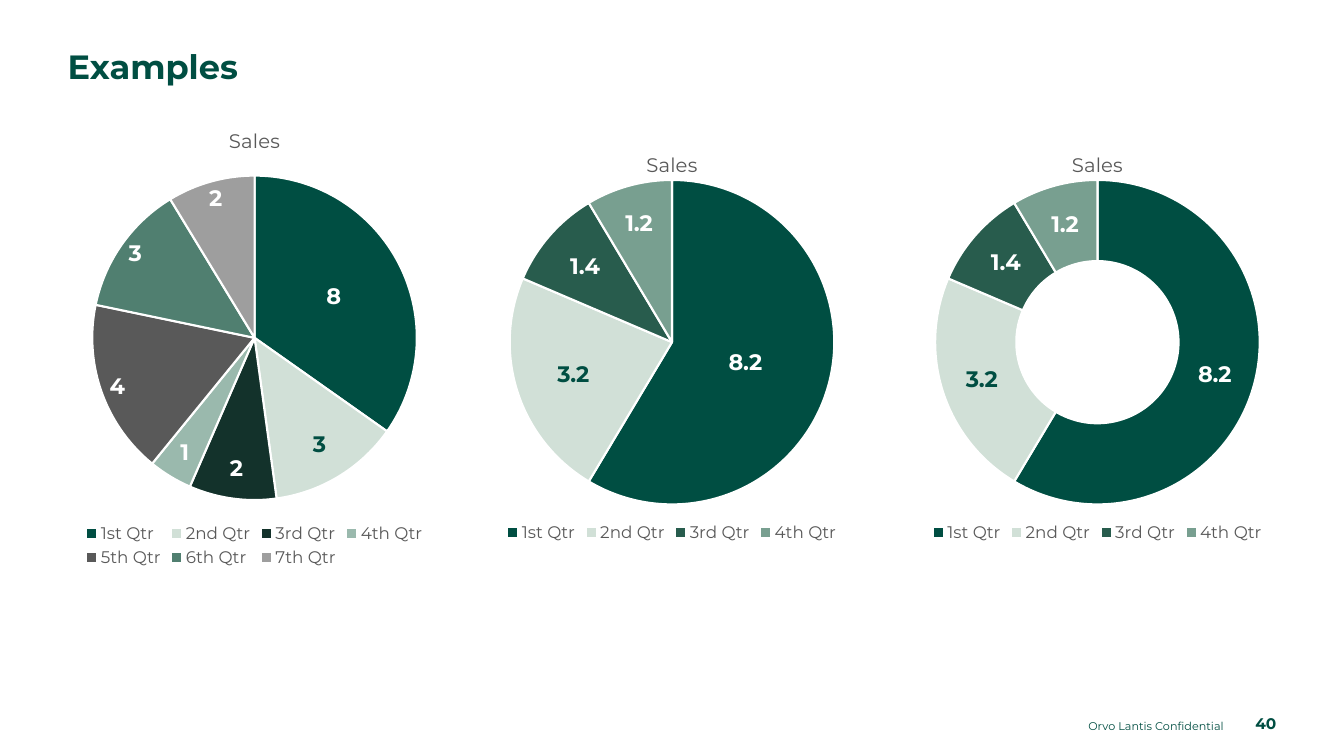
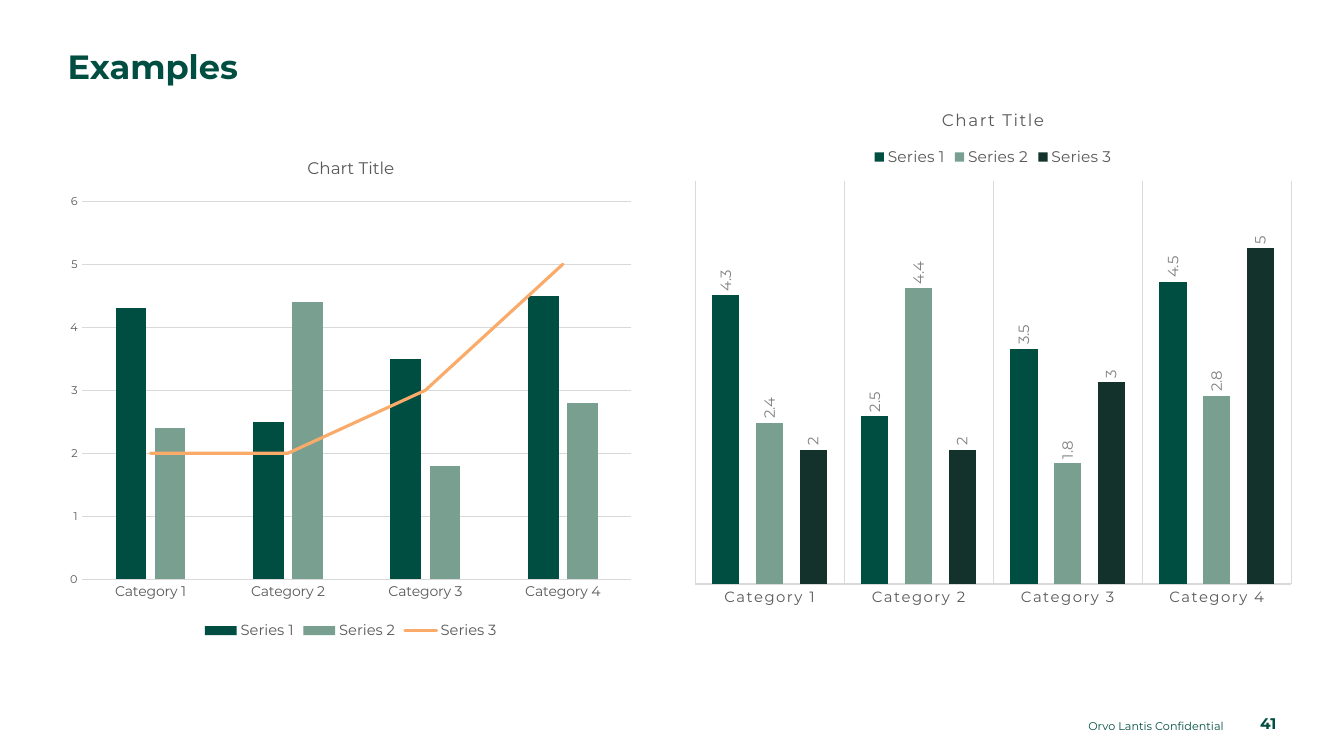
from math import cos, pi, sin

from lxml import etree
from pptx import Presentation
from pptx.chart.data import CategoryChartData
from pptx.dml.color import RGBColor
from pptx.enum.chart import XL_CHART_TYPE, XL_LABEL_POSITION, XL_LEGEND_POSITION, XL_TICK_MARK
from pptx.enum.text import MSO_ANCHOR, PP_ALIGN
from pptx.oxml import parse_xml
from pptx.oxml.ns import nsdecls, qn
from pptx.util import Inches, Pt

PIE, DOUGHNUT, COLUMN = XL_CHART_TYPE.PIE, XL_CHART_TYPE.DOUGHNUT, XL_CHART_TYPE.COLUMN_CLUSTERED
TOP, BOTTOM = XL_LEGEND_POSITION.TOP, XL_LEGEND_POSITION.BOTTOM
OUTSIDE_END, CENTER = XL_LABEL_POSITION.OUTSIDE_END, XL_LABEL_POSITION.CENTER
NO_TICK = XL_TICK_MARK.NONE
LEFT, RIGHT = PP_ALIGN.LEFT, PP_ALIGN.RIGHT
ANCHOR_TOP, ANCHOR_BOTTOM = MSO_ANCHOR.TOP, MSO_ANCHOR.BOTTOM

FONT = "Montserrat"
GREEN, PALE, DEEP, SAGE = "004E42", "D1E0D7", "13322B", "789F90"
FOREST, MINT, FERN = "285C4D", "9AB9AD", "507F70"
TEXT_GRAY, LABEL_GRAY, MID_GRAY, LINE_GRAY = "595959", "808080", "9E9E9E", "D9D9D9"
ORANGE, WHITE = "FBAB69", "FFFFFF"

WIDTH, HEIGHT = 13.33, 7.5
TITLE = "Examples"
FOOTER = "Orvo Lantis Confidential"
FIRST_PAGE = 40

# label_radius: distance of each label from the centre, as a share of the radius
FOUR_QUARTERS = [("1st Qtr", 8.2, GREEN), ("2nd Qtr", 3.2, PALE),
                 ("3rd Qtr", 1.4, FOREST), ("4th Qtr", 1.2, SAGE)]
SEVEN_QUARTERS = [("1st Qtr", 8, GREEN), ("2nd Qtr", 3, PALE), ("3rd Qtr", 2, DEEP),
                  ("4th Qtr", 1, MINT), ("5th Qtr", 4, TEXT_GRAY),
                  ("6th Qtr", 3, FERN), ("7th Qtr", 2, MID_GRAY)]
ROUND_CHARTS = [
    dict(kind=PIE, box=(4.49, 1.33, 4.35, 4.09), plot=(0.13, 0.11, 0.74, 0.79),
         slices=FOUR_QUARTERS, label_radius=[0.47, 0.64, 0.71, 0.76]),
    dict(kind=DOUGHNUT, box=(8.71, 1.33, 4.35, 4.09), plot=(0.13, 0.11, 0.74, 0.79),
         slices=FOUR_QUARTERS),
    dict(kind=PIE, box=(0.35, 1.08, 4.35, 4.59), plot=(0.13, 0.1, 0.74, 0.79),
         slices=SEVEN_QUARTERS, label_radius=[0.55, 0.77, 0.81, 0.83, 0.9, 0.9, 0.89]),
]

CATEGORIES = ["Category 1", "Category 2", "Category 3", "Category 4"]
SERIES = {"Series 1": (4.3, 2.5, 3.5, 4.5),
          "Series 2": (2.4, 4.4, 1.8, 2.8),
          "Series 3": (2, 2, 3, 5)}


def color(value):
    return RGBColor.from_string(value)


def set_font(font, size, fill, bold=False, spacing=None):
    font.name, font.size, font.bold = FONT, Pt(size), bold
    font.color.rgb = color(fill)
    if spacing:
        font._element.set("spc", str(spacing))


def set_line(line, fill, width):
    line.color.rgb = color(fill)
    line.width = Pt(width)


def add_text(slide, text, box, size, bold=False, align=LEFT, anchor=ANCHOR_TOP, spacing=1.0):
    shape = slide.shapes.add_textbox(*map(Inches, box))
    frame = shape.text_frame
    frame.word_wrap = True
    frame.vertical_anchor = anchor
    frame.margin_left = frame.margin_right = frame.margin_top = frame.margin_bottom = 0
    paragraph = frame.paragraphs[0]
    paragraph.alignment, paragraph.line_spacing = align, spacing
    run = paragraph.add_run()
    run.text = text
    set_font(run.font, size, GREEN, bold)


def add_slide(presentation, page):
    slide = presentation.slides.add_slide(presentation.slide_layouts[6])
    add_text(slide, TITLE, (0.67, 0.5, 12, 0.75), 24, bold=True, spacing=0.9)
    for text, box, size, bold in ((FOOTER, (6.68, 7.1, 5.46, 0.17), 8, False),
                                  (str(page), (12.15, 7.1, 0.51, 0.17), 11, True)):
        add_text(slide, text, box, size, bold, RIGHT, ANCHOR_BOTTOM)
    return slide


def manual_layout(**settings):
    body = "".join(f'<c:{name} val="{value}"/>' for name, value in settings.items())
    return parse_xml(f'<c:layout {nsdecls("c")}><c:manualLayout>{body}</c:manualLayout></c:layout>')


def add_chart(slide, kind, box, plot, categories, series, title, title_size,
              legend, legend_size, spacing=None):
    data = CategoryChartData()
    data.categories = categories
    for name, values in series.items():
        data.add_series(name, values)
    chart = slide.shapes.add_chart(kind, *map(Inches, box), data).chart
    set_font(chart.font, 10, "000000")
    chart.has_title = True
    frame = chart.chart_title.text_frame
    frame.text = title
    set_font(frame.paragraphs[0].runs[0].font, title_size, TEXT_GRAY, spacing=spacing)
    chart.chart_title.include_in_layout = False
    chart.has_legend = True
    chart.legend.position = legend
    chart.legend.include_in_layout = False
    set_font(chart.legend.font, legend_size, TEXT_GRAY)
    area = chart._chartSpace.chart.plotArea
    for layout in area.findall(qn("c:layout")):
        area.remove(layout)
    x, y, width, height = plot
    area.insert(0, manual_layout(layoutTarget="inner", xMode="edge", yMode="edge",
                                 x=x, y=y, w=width, h=height))
    return chart


def add_round_chart(slide, kind, box, plot, slices, label_radius=None):
    names, values, fills = zip(*slices)
    chart = add_chart(slide, kind, box, plot, names, {"Sales": values}, "Sales", 14, BOTTOM, 12)
    chart.plots[0].vary_by_categories = True
    series = chart.plots[0].series[0]
    labels = series.data_labels
    labels.show_value = True
    set_font(labels.font, 16, WHITE, bold=True)
    width, height = box[2:]
    radius = min(width * plot[2], height * plot[3]) / 2
    for index, fill in enumerate(fills):
        point = series.points[index]
        point.format.fill.solid()
        point.format.fill.fore_color.rgb = color(fill)
        set_line(point.format.line, WHITE, 1.5)
        label = point.data_label
        set_font(label.font, 16, GREEN if fill == PALE else WHITE, bold=True)
        if label_radius:
            label.position = CENTER
            angle = 2 * pi * (sum(values[:index]) + values[index] / 2) / sum(values)
            shift = (label_radius[index] - 0.5) * radius
            layout = manual_layout(x=round(shift * sin(angle) / width, 3),
                                   y=round(-shift * cos(angle) / height, 3))
            labels._element.findall(qn("c:dLbl"))[index].find(qn("c:idx")).addnext(layout)


def add_column_chart(slide, fills, gap, overlap, category_size, **format):
    chart = add_chart(slide, COLUMN, categories=CATEGORIES, series=SERIES,
                      title="Chart Title", title_size=12, **format)
    plot = chart.plots[0]
    plot.vary_by_categories = False
    plot.gap_width, plot.overlap = gap, overlap
    for series, fill in zip(plot.series, fills):
        series.invert_if_negative = False
        series.format.fill.solid()
        series.format.fill.fore_color.rgb = color(fill)
    category, value = chart.category_axis, chart.value_axis
    category.major_tick_mark = value.major_tick_mark = NO_TICK
    set_font(category.tick_labels.font, category_size, TEXT_GRAY, spacing=format.get("spacing"))
    set_line(category.format.line, LINE_GRAY, 0.75)
    value.minimum_scale, value.maximum_scale, value.major_unit = 0, 6, 1
    return chart


def turn_last_series_into_line(chart, fill, width):
    bars = chart.plots[0]._element
    series = list(chart.plots[0].series)[-1]
    series.format.fill.background()
    set_line(series.format.line, fill, width)
    element = series._element
    properties = element.find(qn("c:spPr"))
    properties.find(qn("a:ln")).set("cap", "rnd")
    for inverted in element.findall(qn("c:invertIfNegative")):
        element.remove(inverted)
    properties.addnext(parse_xml(f'<c:marker {nsdecls("c")}><c:symbol val="none"/></c:marker>'))
    etree.SubElement(element, qn("c:smooth")).set("val", "0")
    line_chart = parse_xml(f'<c:lineChart {nsdecls("c")}><c:grouping val="standard"/>'
                           '<c:varyColors val="0"/><c:marker val="1"/></c:lineChart>')
    line_chart.insert(2, element)
    for axis in bars.findall(qn("c:axId")):
        etree.SubElement(line_chart, qn("c:axId")).set("val", axis.get("val"))
    bars.addnext(line_chart)


def add_combined_chart(slide):
    chart = add_column_chart(slide, (GREEN, SAGE, ORANGE), 219, -27, 10,
                             box=(0.58, 1.37, 5.8, 5.02), plot=(0.04, 0.125, 0.94, 0.747),
                             legend=BOTTOM, legend_size=10.5)
    value = chart.value_axis
    set_font(value.tick_labels.font, 8, TEXT_GRAY)
    value.format.line.fill.background()
    set_line(value.major_gridlines.format.line, LINE_GRAY, 0.75)
    turn_last_series_into_line(chart, ORANGE, 2.25)


def add_labelled_chart(slide):
    chart = add_column_chart(slide, (GREEN, SAGE, DEEP), 128, -61, 10.6,
                             box=(6.77, 0.89, 6.16, 5.24), plot=(0.02, 0.173, 0.96, 0.763),
                             legend=TOP, legend_size=11, spacing=110)
    chart.value_axis.has_major_gridlines = False
    chart.value_axis.visible = False
    set_line(chart.category_axis.major_gridlines.format.line, LINE_GRAY, 0.75)
    for series in chart.plots[0].series:
        labels = series.data_labels
        labels.show_value = True
        labels.position = OUTSIDE_END
        set_font(labels.font, 10.6, LABEL_GRAY)
        body = labels._element.find(qn("c:txPr")).find(qn("a:bodyPr"))
        body.set("rot", "-5400000")
        body.set("vert", "horz")


def main():
    presentation = Presentation()
    presentation.slide_width, presentation.slide_height = Inches(WIDTH), Inches(HEIGHT)
    round_slide = add_slide(presentation, FIRST_PAGE)
    for chart in ROUND_CHARTS:
        add_round_chart(round_slide, **chart)
    column_slide = add_slide(presentation, FIRST_PAGE + 1)
    add_combined_chart(column_slide)
    add_labelled_chart(column_slide)
    presentation.save("out.pptx")


if __name__ == "__main__":
    main()
